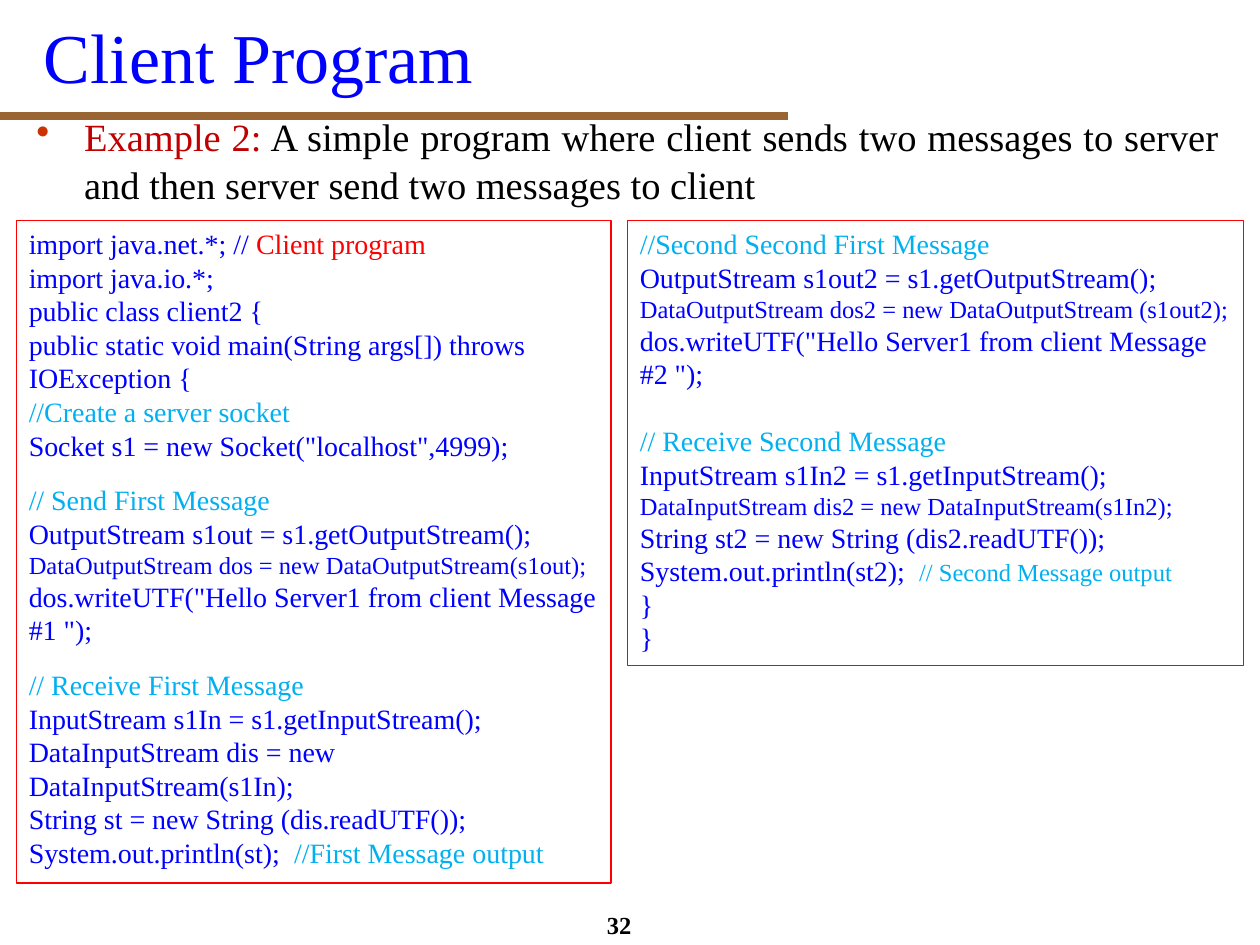
"""Build the Client Program slide with two Java code boxes."""
from lxml.etree import SubElement
from pptx import Presentation
from pptx.dml.color import RGBColor
from pptx.enum.shapes import MSO_CONNECTOR as CONN, MSO_SHAPE as SHAPE
from pptx.enum.text import MSO_ANCHOR as ANCHOR, MSO_AUTO_SIZE as AUTO, PP_ALIGN as ALIGN
from pptx.oxml.ns import qn
from pptx.util import Inches, Pt

FONT = "Times New Roman"
BLUE = RGBColor(0x00, 0x00, 0xFF)
CYAN = RGBColor(0x00, 0xB0, 0xF0)
RED = RGBColor(0xFF, 0x00, 0x00)
DARK_RED = RGBColor(0xC0, 0x00, 0x00)
BROWN = RGBColor(0x99, 0x66, 0x33)
BLACK = RGBColor(0x00, 0x00, 0x00)

TITLE = "Client Program"
PAGE = "32"
EXAMPLE = [
    ("Example 2:", DARK_RED),
    (" A simple program where client sends two messages to server "
     "and then server send two messages to client", BLACK),
]
SETUP = [
    [("import java.net.*; // ", BLUE), ("Client program", RED)],
    [("import java.io.*;", BLUE)],
    [("public class client2 {", BLUE)],
    [("public static void main(String args[]) throws IOException {", BLUE)],
    [("//Create a server socket", CYAN)],
    [('Socket s1 = new Socket("localhost",4999);', BLUE)],
]
SEND_FIRST = [
    [("// Send First Message", CYAN)],
    [("OutputStream s1out = s1.getOutputStream();", BLUE)],
    [("DataOutputStream dos = new DataOutputStream(s1out);", BLUE, 14)],
    [('dos.writeUTF("Hello Server1 from client Message #1 ");', BLUE)],
]
RECEIVE_FIRST = [
    [("// Receive First Message", CYAN)],
    [("InputStream s1In = s1.getInputStream();", BLUE)],
    [("DataInputStream dis = new DataInputStream(s1In);", BLUE)],
    [("String st = new String (dis.readUTF());", BLUE)],
    [("System.out.println(st);  ", BLUE), ("//First Message output", CYAN)],
]
SEND_SECOND = [
    [("//Second Second First Message", CYAN)],
    [("OutputStream s1out2 = s1.getOutputStream();", BLUE)],
    [("DataOutputStream dos2 = new DataOutputStream (s1out2);", BLUE, 14)],
    [('dos.writeUTF("Hello Server1 from client Message #2 ");', BLUE)],
]
RECEIVE_SECOND = [
    [("// Receive Second Message", CYAN)],
    [("InputStream s1In2 = s1.getInputStream();", BLUE)],
    [("DataInputStream dis2 = new DataInputStream(s1In2);", BLUE, 14)],
    [("String st2 = new String (dis2.readUTF());", BLUE)],
    [("System.out.println(st2);  ", BLUE), ("// Second Message output", CYAN, 14)],
    [("}", BLUE)],
    [("}", BLUE)],
]
CODE_TOP = 1.75
CODE_BOXES = [
    (0.13, 4.72, 5.26, 12, [SETUP, SEND_FIRST, RECEIVE_FIRST]),
    (4.98, 4.89, 3.53, 19, [SEND_SECOND, RECEIVE_SECOND]),
]


def add_run(p, text, color=BLACK, size=16, bold=False):
    r = p.add_run()
    r.text = text
    r.font.name, r.font.size, r.font.bold = FONT, Pt(size), bold
    r.font.color.rgb = color


def add_box(s, left, top, width, height, anchor=ANCHOR.TOP):
    sp = s.shapes.add_textbox(Inches(left), Inches(top), Inches(width), Inches(height))
    tf = sp.text_frame
    tf.word_wrap, tf.vertical_anchor = True, anchor
    return tf.paragraphs[0]


def add_bullet(p, color, indent):
    pPr = p._p.get_or_add_pPr()
    pPr.set("marL", str(Inches(indent)))
    pPr.set("indent", str(-Inches(indent)))
    clr = SubElement(pPr, qn("a:buClr"))
    SubElement(clr, qn("a:srgbClr")).set("val", color)
    SubElement(pPr, qn("a:buChar")).set("char", "•")


def add_code(s, left, width, height, gap, blocks):
    sp = s.shapes.add_shape(SHAPE.RECTANGLE, Inches(left), Inches(CODE_TOP),
                            Inches(width), Inches(height))
    sp.shadow.inherit = False
    sp.fill.background()
    sp.line.color.rgb, sp.line.width = RED, Pt(0.75)
    tf = sp.text_frame
    tf.word_wrap, tf.auto_size = True, AUTO.SHAPE_TO_FIT_TEXT
    tf.vertical_anchor = ANCHOR.TOP
    p = tf.paragraphs[0]
    for b, block in enumerate(blocks):
        for i, line in enumerate(block):
            if b or i:
                p = tf.add_paragraph()
            p.alignment = ALIGN.LEFT
            if b and not i:
                p.space_before = Pt(gap)
            for run in line:
                add_run(p, *run)


def main():
    prs = Presentation()
    prs.slide_width, prs.slide_height = Inches(10), Inches(7.5)
    s = prs.slides.add_slide(prs.slide_layouts[6])

    rule = s.shapes.add_connector(CONN.STRAIGHT, 0, Inches(0.92), Inches(6.25), Inches(0.92))
    rule.line.color.rgb, rule.line.width = BROWN, Pt(4.5)
    SubElement(rule._element.spPr, qn("a:effectLst"))

    add_run(add_box(s, 0.25, -0.02, 9.5, 0.92, ANCHOR.MIDDLE), TITLE, BLUE, size=40)

    p = add_box(s, 0.19, 0.83, 9.58, 6.33)
    add_bullet(p, "CC3300", 0.38)
    p.alignment, p.line_spacing = ALIGN.JUSTIFY, 1.05
    for text, color in EXAMPLE:
        add_run(p, text, color, size=22)

    p = add_box(s, 4.58, 7.17, 0.67, 0.33)
    p.alignment = ALIGN.CENTER
    add_run(p, PAGE, size=14, bold=True)

    for box in CODE_BOXES:
        add_code(s, *box)
    prs.save("out.pptx")


if __name__ == "__main__":
    main()
